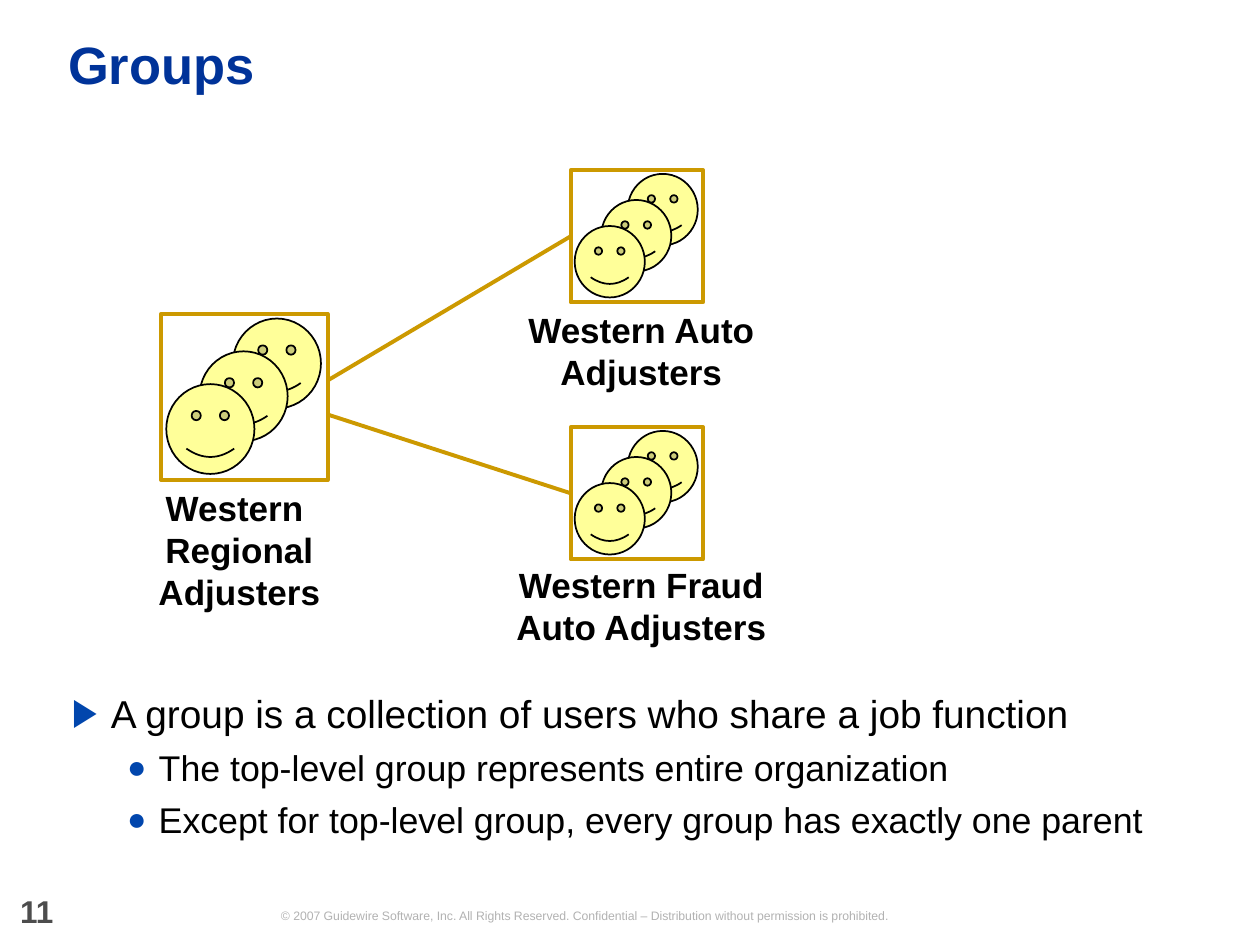
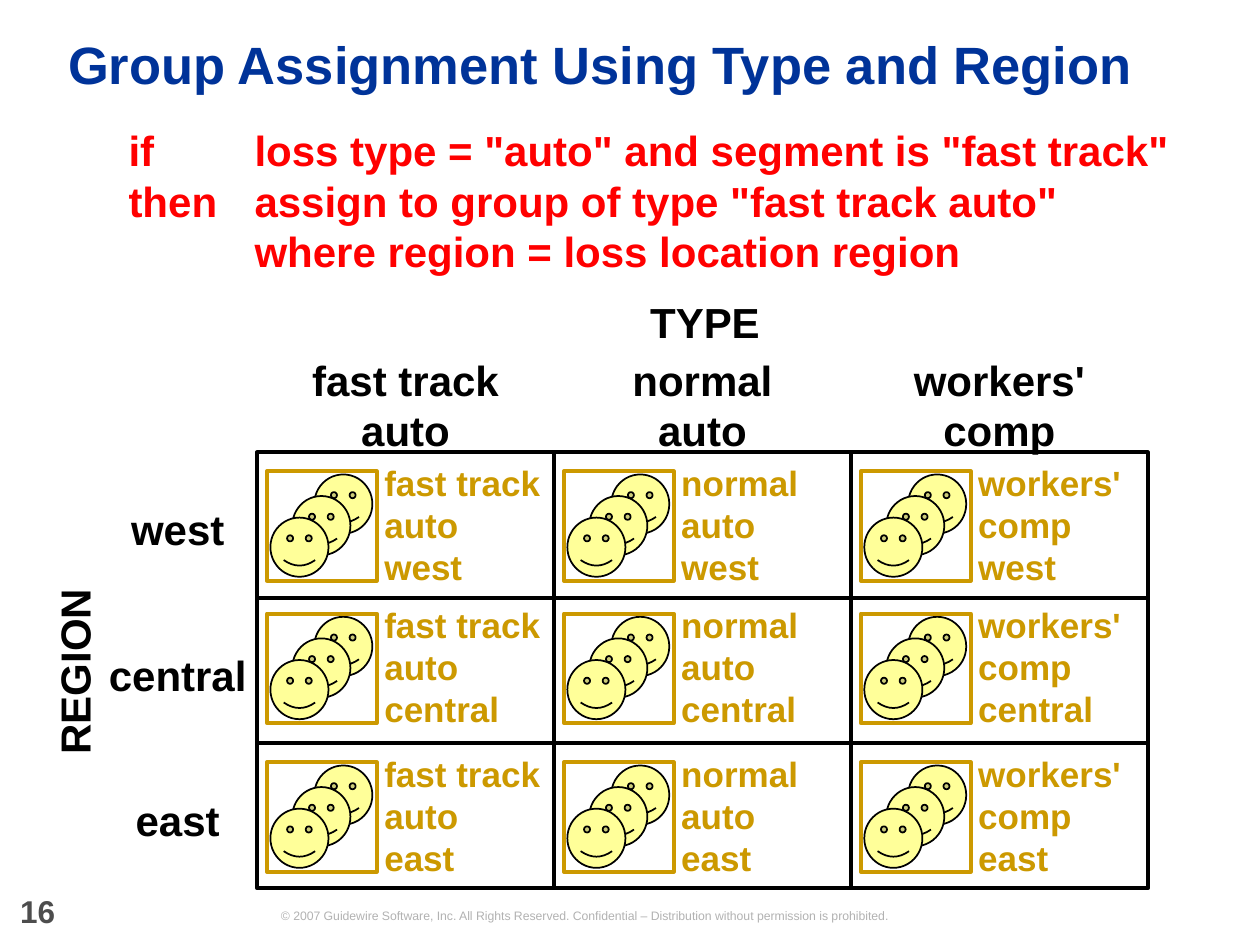
from dataclasses import dataclass

from lxml import etree
from pptx import Presentation
from pptx import util as u
from pptx.dml.color import RGBColor
from pptx.enum import shapes, text
from pptx.oxml.ns import qn

IN = u.Inches


@dataclass(frozen=True)
class Theme:
    font: str = "Arial"
    title: str = "003399"
    ink: str = "000000"
    rule: str = "FF0000"
    gold: str = "CC9900"
    face: str = "FFFF99"
    bullet: str = "0146AD"
    number: str = "4D4D4D"
    notice: str = "B2B2B2"
    title_size: float = 30
    heading_size: float = 24
    label_size: float = 20
    number_size: float = 18
    notice_size: float = 7
    body_size: float = 22.2
    detail_size: float = 20.4
    heavy: float = 2.25
    fine: float = 1


T = Theme()

NOTICE = ("© 2007 Guidewire Software, Inc. All Rights Reserved. "
          "Confidential – Distribution without permission is prohibited.")

GROUPS = {
    "number": "11",
    "title": "Groups",
    "parent": {"name": "Western \nRegional\nAdjusters", "crew": (1.28, 2.49, 1.32),
               "label": (0.6, 3.86, 2.6, 1)},
    "children": [
        {"name": "Western Auto Adjusters", "crew": (4.53, 1.35, 1.05),
         "label": (3.79, 2.45, 2.6, 0.67), "branch": (2.6, 3.02)},
        {"name": "Western Fraud Auto Adjusters", "crew": (4.53, 3.39, 1.05),
         "label": (3.79, 4.47, 2.6, 0.67), "branch": (2.6, 3.29)},
    ],
    "points": [
        (0, "A group is a collection of users who share a job function"),
        (1, "The top-level group represents entire organization"),
        (1, "Except for top-level group, every group has exactly one parent"),
    ],
}

ASSIGNMENT = {
    "number": "16",
    "title": "Group Assignment Using Type and Region",
    "rule": ('if \tloss type = "auto" and segment is "fast track"\n'
             'then\tassign to group of type "fast track auto"\n'
             '\twhere region = loss location region'),
    "axes": [("TYPE", (4.7, 2.35, 1.79, 0.4), 0),
             ("REGION", (-0.31, 5.13, 1.79, 0.4), 270)],
    "types": [("fast track\nauto", "fast track auto"),
              ("normal\nauto", "normal auto"),
              ("workers'\ncomp", "workers'\ncomp")],
    "regions": [("west", 3.74), ("central", 4.87), ("east", 6.05)],
    "grid": (2.04, 3.59, 7.07, 3.46),
}

LEVELS = [
    {"size": T.body_size, "margin": 0.31, "hang": 0.31, "mark": "▶", "scale": 100, "before": 0},
    {"size": T.detail_size, "margin": 0.69, "hang": 0.25, "mark": "●", "scale": 90, "before": 5.5},
]


def apply(target, values):
    for key, value in values.items():
        setattr(target, key, value)


def write(paragraph, words, size, color, bold=True, align="LEFT", **spacing):
    paragraph.text = words
    apply(paragraph, {"alignment": getattr(text.PP_ALIGN, align), **spacing})
    for run in paragraph.runs:
        apply(run.font, {"name": T.font, "size": u.Pt(size), "bold": bold})
        run.font.color.rgb = RGBColor.from_string(color)


def frame(parent, place, anchor="TOP", turn=0):
    area = parent.add_textbox(*map(IN, place))
    area.rotation = turn
    apply(area.text_frame, {
        "word_wrap": True, "vertical_anchor": getattr(text.MSO_ANCHOR, anchor),
        "margin_left": 0, "margin_top": 0, "margin_right": 0, "margin_bottom": 0})
    return area.text_frame


def label(parent, place, words, size, color, anchor="TOP", turn=0, **style):
    paragraph = frame(parent, place, anchor, turn).paragraphs[0]
    write(paragraph, words, size, color, **style)
    return paragraph


def stroke(line, color, width):
    line.color.rgb = RGBColor.from_string(color)
    line.width = u.Pt(width)


def outline(parent, kind, place, color, width, fill=None):
    shape = parent.add_shape(kind, *map(IN, place))
    shape.shadow.inherit = False
    if fill:
        shape.fill.solid()
        shape.fill.fore_color.rgb = RGBColor.from_string(fill)
    else:
        shape.fill.background()
    stroke(shape.line, color, width)
    return shape


def connect(parent, start, end, color):
    line = parent.add_connector(shapes.MSO_CONNECTOR.STRAIGHT, *map(IN, (*start, *end)))
    stroke(line.line, color, T.heavy)
    etree.SubElement(line._element.spPr, qn("a:effectLst"))
    return line


def crew(parent, left, top, side):
    for step in (2, 1, 0):
        place = (left + side * (0.03 + 0.2 * step), top + side * (0.423 - 0.197 * step),
                 side * 0.53, side * 0.54)
        outline(parent, shapes.MSO_SHAPE.SMILEY_FACE, place, T.ink, T.fine, T.face)
    return outline(parent, shapes.MSO_SHAPE.RECTANGLE, (left, top, side, side), T.gold, T.heavy)


def bullet(paragraph, level):
    props = paragraph._p.get_or_add_pPr()
    props.set("marL", str(IN(level["margin"])))
    props.set("indent", str(-IN(level["hang"])))
    color = etree.SubElement(props, qn("a:buClr"))
    etree.SubElement(color, qn("a:srgbClr"), val=T.bullet)
    etree.SubElement(props, qn("a:buSzPct"), val=str(level["scale"] * 1000))
    etree.SubElement(props, qn("a:buFont"), typeface=T.font)
    etree.SubElement(props, qn("a:buChar"), char=level["mark"])


def start_slide(deck, content):
    parent = deck.slides.add_slide(deck.slide_layouts[6]).shapes
    label(parent, (1.19, 7.21, 6.9, 0.12), NOTICE, T.notice_size, T.notice,
          anchor="MIDDLE", bold=False, align="CENTER")
    label(parent, (0.16, 7.13, 0.57, 0.25), content["number"], T.number_size, T.number,
          line_spacing=u.Pt(18))
    label(parent, (0.54, 0.13, 9.1, 0.81), content["title"], T.title_size, T.title,
          anchor="MIDDLE", line_spacing=0.9)
    return parent


def draw_groups(deck):
    parent = start_slide(deck, GROUPS)
    points = frame(parent, (0.57, 5.47, 9.1, 1.51))
    for index, (depth, words) in enumerate(GROUPS["points"]):
        paragraph = points.add_paragraph() if index else points.paragraphs[0]
        level = LEVELS[depth]
        bullet(paragraph, level)
        write(paragraph, words, level["size"], T.ink, bold=False,
              level=depth, space_before=u.Pt(level["before"]))

    for team in [GROUPS["parent"], *GROUPS["children"]]:
        square = crew(parent.add_group_shape().shapes, *team["crew"])
        label(parent, team["label"], team["name"], T.label_size, T.ink, align="CENTER")
        if "branch" in team:
            left, top, side = team["crew"]
            branch = connect(parent, team["branch"], (left, top + side / 2), T.gold)
            branch.end_connect(square, 1)


def draw_assignment(deck):
    parent = start_slide(deck, ASSIGNMENT)
    rule = label(parent, (1.02, 0.99, 8.38, 1.2), ASSIGNMENT["rule"], T.heading_size, T.rule)
    stops = etree.SubElement(rule._p.get_or_add_pPr(), qn("a:tabLst"))
    etree.SubElement(stops, qn("a:tab"), pos=str(IN(1)), algn="l")
    for words, place, turn in ASSIGNMENT["axes"]:
        label(parent, place, words, T.heading_size, T.ink, turn=turn, align="CENTER")

    left, top, width, height = ASSIGNMENT["grid"]
    column = width / len(ASSIGNMENT["types"])
    row = height / len(ASSIGNMENT["regions"])
    outline(parent, shapes.MSO_SHAPE.RECTANGLE, ASSIGNMENT["grid"], T.ink, T.heavy)

    for c, (heading, _) in enumerate(ASSIGNMENT["types"]):
        x = left + c * column
        label(parent, (x + (column - 1.8) / 2, 2.81, 1.8, 0.8), heading,
              T.heading_size, T.ink, align="CENTER")
        if c:
            connect(parent, (x, top), (x, top + height), T.ink)

    for r, (region, crew_top) in enumerate(ASSIGNMENT["regions"]):
        y = top + r * row
        label(parent, (0.67, y + 0.41, 1.48, 0.4), region, T.heading_size, T.ink, align="CENTER")
        if r:
            connect(parent, (left, y), (left + width, y), T.ink)
        for c, (_, kind) in enumerate(ASSIGNMENT["types"]):
            x = left + c * column + 0.08
            cell = parent.add_group_shape().shapes
            crew(cell, x, crew_top, 0.87)
            label(cell, (x + 0.93, crew_top - 0.08, 1.28, 1), f"{kind}\n{region}",
                  T.label_size, T.gold)


def main():
    deck = Presentation()
    apply(deck, {"slide_width": IN(10), "slide_height": IN(7.5)})
    draw_groups(deck)
    draw_assignment(deck)
    deck.save("out.pptx")


if __name__ == "__main__":
    main()
